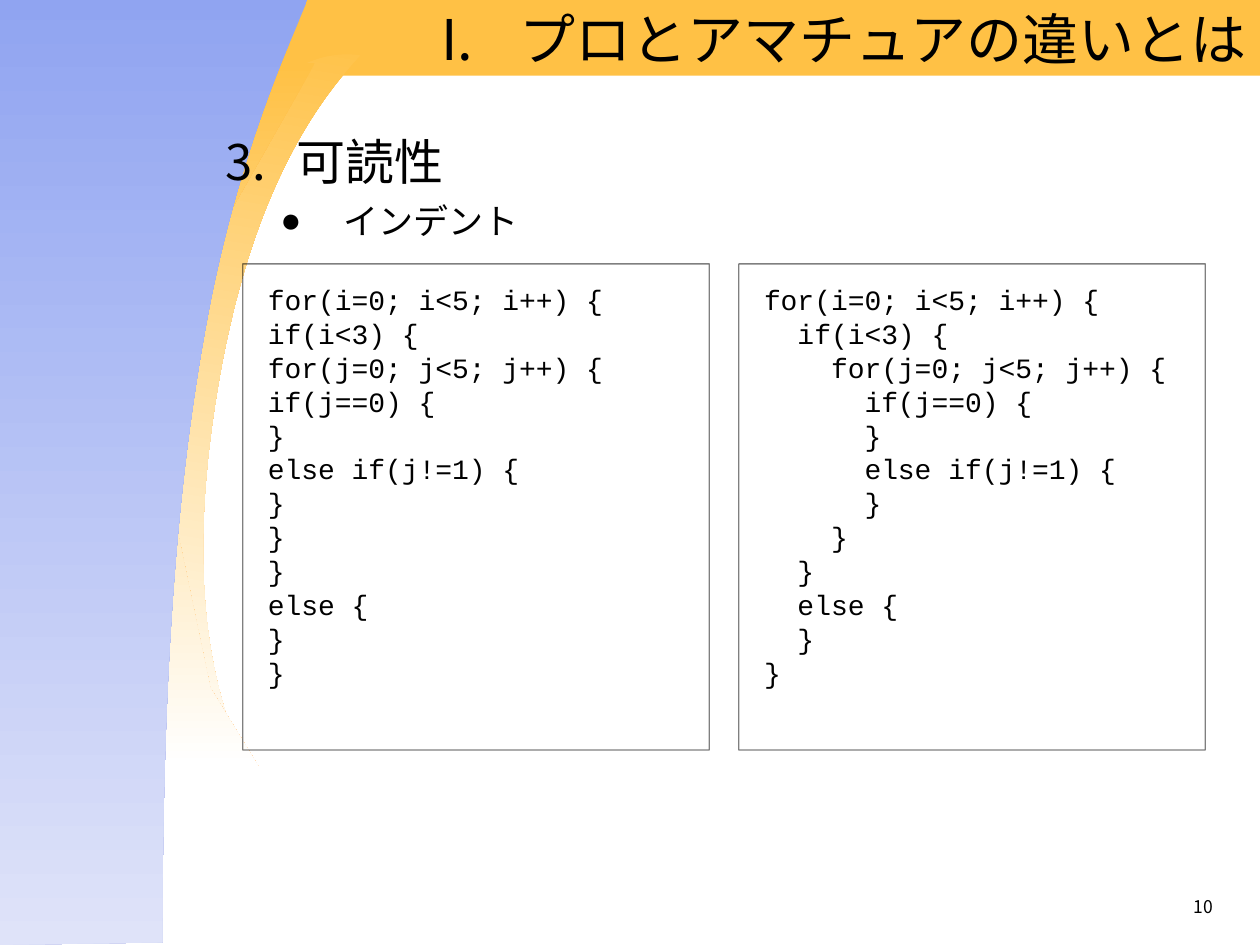
import math
from lxml import etree
from pptx import Presentation
from pptx.dml.color import RGBColor
from pptx.enum.shapes import MSO_SHAPE
from pptx.enum.text import MSO_ANCHOR, PP_ALIGN
from pptx.oxml.ns import qn
from pptx.util import Pt

RECT = MSO_SHAPE.RECTANGLE
LEFT, RIGHT = PP_ALIGN.LEFT, PP_ALIGN.RIGHT
TOP, MIDDLE = MSO_ANCHOR.TOP, MSO_ANCHOR.MIDDLE
BLACK = RGBColor(0, 0, 0)
WHITE = RGBColor(255, 255, 255)
AMBER = RGBColor(0xFF, 0xC1, 0x45)
BLUE = RGBColor(0x90, 0xA4, 0xF1)
PALE_BLUE = RGBColor(0xDF, 0xE3, 0xF9)
SANS = "Noto Sans CJK JP"
MONO = "Courier New"


def write(p, text, size, font=SANS, align=LEFT, margin=0, hang=0, before=0):
    p.text = text
    p.alignment = align
    p.space_before = Pt(before)
    pPr = p._p.get_or_add_pPr()
    pPr.set("marL", str(Pt(margin)))
    pPr.set("indent", str(Pt(-hang)))
    f = p.runs[0].font
    f.size = Pt(size)
    f.name = font
    f.color.rgb = BLACK
    etree.SubElement(p.runs[0]._r.get_or_add_rPr(), qn("a:ea"), typeface=font)


def add_bullet(p, tag, font=SANS, **attrs):
    pPr = p._p.get_or_add_pPr()
    clr = etree.SubElement(pPr, qn("a:buClr"))
    etree.SubElement(clr, qn("a:srgbClr"), val=str(BLACK))
    etree.SubElement(pPr, qn("a:buFont"), typeface=font)
    etree.SubElement(pPr, qn(tag), **attrs)


prs = Presentation()
prs.slide_width, prs.slide_height = Pt(720), Pt(540)
s = prs.slides.add_slide(prs.slide_layouts[6])

band = s.shapes.add_shape(RECT, Pt(0), Pt(-0.5), Pt(720), Pt(43.7))
band.shadow.inherit = False
band.fill.solid()
band.fill.fore_color.rgb = AMBER
band.line.fill.background()

crescent = [(2.86, 0.44), (2.44, 0.89, 1.96, 1.65, 1.72, 3.13),
            (1.48, 4.61, 1.68, 5.48, 1.94, 6.04),
            (1.19, 5.91, 0.79, 4.55, 1.04, 3.02),
            (1.29, 1.48, 2.11, 0.32, 2.86, 0.44)]
wedge = [(2.05, 6.08), (0, 6.08), (0, 0.5), (2.5, 0.5),
         (1.51, 2.24), (1.36, 3.98), (1.67, 5.46)]
side = [(2.44, 0), (2.31, 0.33, 1.94, 1.09, 1.68, 2.35),
        (1.43, 3.61, 1.29, 5.1, 1.29, 7.48), (0, 7.5), (0, -0.03)]

CX, CY = 1.72, 3.13
for outline, start, end, turn in [(crescent, AMBER, WHITE, 9.3), (wedge, AMBER, WHITE, 0),
                                  (side, BLUE, PALE_BLUE, 0)]:
    cos, sin = math.cos(math.radians(turn)), math.sin(math.radians(turn))
    segs = [[(Pt(72 * (CX + (x - CX) * cos + (y - CY) * sin)),
              Pt(72 * (CY + (y - CY) * cos - (x - CX) * sin)))
             for x, y in zip(seg[::2], seg[1::2])] for seg in outline]
    anchors = [seg[-1] for seg in segs]
    left, top = (min(values) for values in zip(*anchors))
    fb = s.shapes.build_freeform(*anchors[0])
    fb.add_line_segments(anchors[1:], close=True)
    sp = fb.convert_to_shape()
    for line, seg in zip(list(sp._element.iter(qn("a:lnTo"))), segs[1:]):
        if len(seg) == 3:
            curve = etree.Element(qn("a:cubicBezTo"))
            for x, y in seg:
                etree.SubElement(curve, qn("a:pt"), x=str(x - left), y=str(y - top))
            line.getparent().replace(line, curve)
    sp.rotation = turn
    sp.shadow.inherit = False
    sp.line.fill.background()
    sp.fill.gradient()
    sp.fill.gradient_angle = 270
    for stop, color, position in zip(sp.fill.gradient_stops, (start, end), (0, 1)):
        stop.color.rgb = color
        stop.position = position

frames = []
for x, y, w, h, anchor in [(167, 0, 553, 43.2, MIDDLE), (121.7, 71.6, 589.7, 85, TOP),
                           (532.4, 508.3, 167.8, 20.9, TOP)]:
    tf = s.shapes.add_textbox(Pt(x), Pt(y), Pt(w), Pt(h)).text_frame
    tf.word_wrap = True
    tf.vertical_anchor = anchor
    frames.append(tf)
title, body, number = frames

p = title.paragraphs[0]
write(p, "プロとアマチュアの違いとは", 32, align=RIGHT, margin=45, hang=45)
add_bullet(p, "a:buAutoNum", type="romanUcPeriod")

p = body.paragraphs[0]
write(p, "可読性", 28, margin=40.5, hang=40.5, before=7)
add_bullet(p, "a:buAutoNum", type="arabicPeriod", startAt="3")
p = body.add_paragraph()
p.level = 1
write(p, "インデント", 20, margin=67.5, hang=36, before=5)
add_bullet(p, "a:buChar", font="Arial", char="●")

write(number.paragraphs[0], "10", 10, align=RIGHT)

code = [(0, "for(i=0; i<5; i++) {"), (1, "if(i<3) {"), (2, "for(j=0; j<5; j++) {"),
        (3, "if(j==0) {"), (3, "}"), (3, "else if(j!=1) {"), (3, "}"),
        (2, "}"), (1, "}"), (1, "else {"), (1, "}"), (0, "}")]

for x, indent in [(138.7, ""), (422.2, "  ")]:
    sp = s.shapes.add_shape(RECT, Pt(x), Pt(150.8), Pt(266.6), Pt(277.8))
    sp.shadow.inherit = False
    sp.fill.background()
    sp.line.width = Pt(0.75)
    sp.line.color.rgb = BLACK
    clr = sp.line._ln.find(".//" + qn("a:srgbClr"))
    etree.SubElement(clr, qn("a:alpha"), val="50000")
    tf = sp.text_frame
    tf.word_wrap = True
    tf.vertical_anchor = TOP
    tf.margin_left = tf.margin_right = tf.margin_top = tf.margin_bottom = Pt(14.4)
    for i, (depth, text) in enumerate(code):
        p = tf.add_paragraph() if i else tf.paragraphs[0]
        p.line_spacing = 0.8
        write(p, indent * depth + text, 16, MONO, margin=27, hang=27, before=4)

prs.save("out.pptx")
